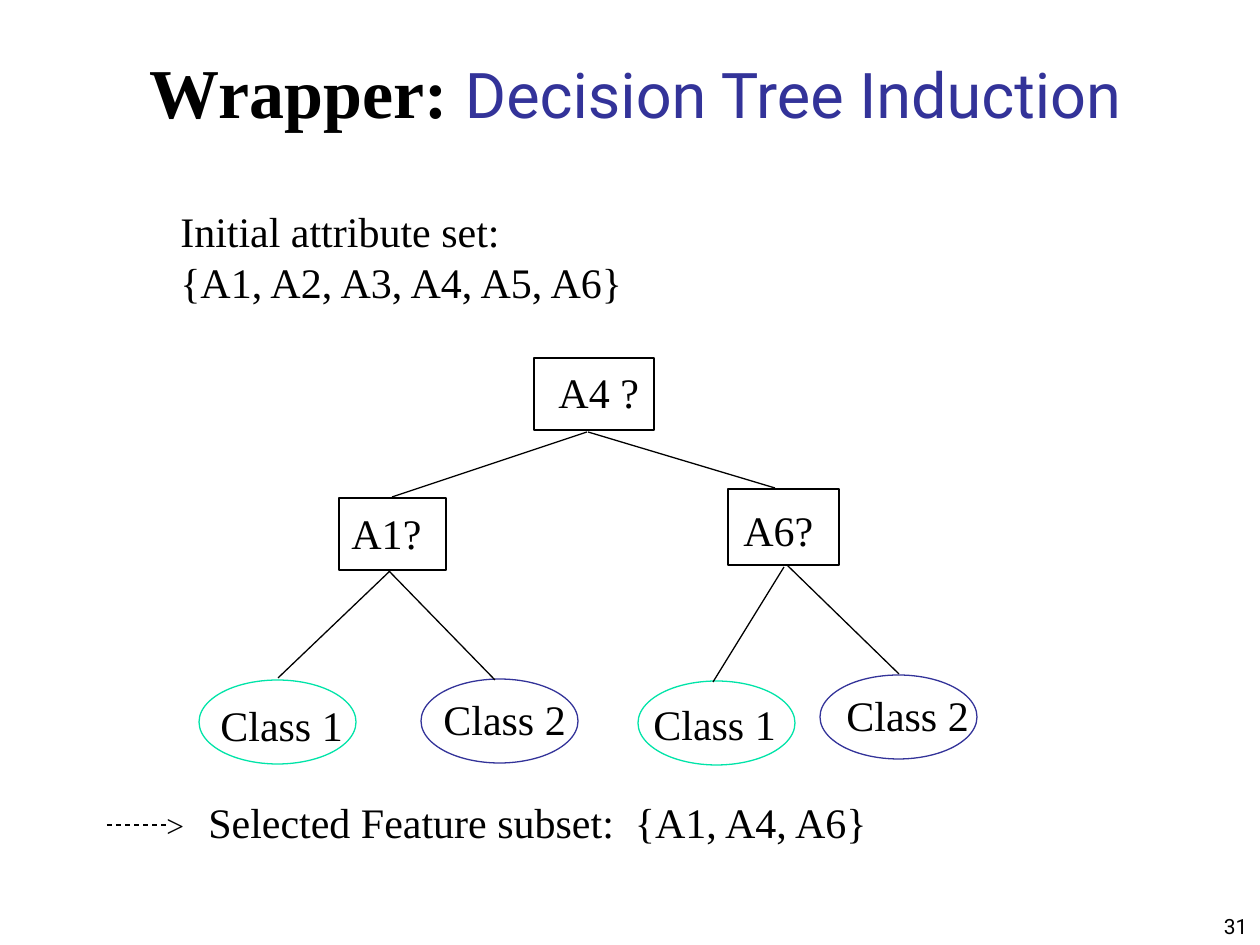
"""Build the slide on wrapper feature selection by decision tree induction."""
from lxml import etree
from pptx import Presentation
from pptx.dml.color import RGBColor
from pptx.enum.dml import MSO_LINE
from pptx.enum.shapes import MSO_CONNECTOR, MSO_SHAPE
from pptx.enum.text import MSO_ANCHOR, PP_ALIGN
from pptx.oxml.ns import qn
from pptx.util import Emu, Pt

PX = 914400 / 126
WIDTH, HEIGHT = 1260, 945
SERIF, SANS = "Times New Roman", "Roboto"
LEFT, CENTER, RIGHT = PP_ALIGN.LEFT, PP_ALIGN.CENTER, PP_ALIGN.RIGHT
TOP, BOTTOM = MSO_ANCHOR.TOP, MSO_ANCHOR.BOTTOM
RECTANGLE, OVAL = MSO_SHAPE.RECTANGLE, MSO_SHAPE.OVAL
STRAIGHT, DASH = MSO_CONNECTOR.STRAIGHT, MSO_LINE.DASH
COLORS = {"black": "000000", "indigo": "333399", "mint": "00E4A8"}
LINE_SPACING = 1.01

TITLE = [("Wrapper: ", 40, SERIF, "black", True),
         ("Decision Tree Induction", 36, SANS, "indigo", False)]
PAGE_NUMBER = [("31", 12, SANS, "black", False)]
TEXTS = [
    (["Initial attribute set:", "{A1, A2, A3, A4, A5, A6}"], 24, (168, 199, 479, 113)),
    (["A4 ?"], 24, (546, 360, 122, 71)),
    (["A1?"], 24, (339, 501, 106, 63)),
    (["A6?"], 24, (731, 498, 106, 63)),
    (["Class 1"], 24, (208, 693, 160, 63)),
    (["Class 2"], 24, (431, 687, 160, 63)),
    (["Class 1"], 24, (641, 692, 160, 63)),
    (["Class 2"], 24, (834, 683, 160, 63)),
    ([">"], 18, (154, 800, 50, 50)),
    (["Selected Feature subset:  {A1, A4, A6}"], 24, (196, 790, 700, 64)),
]
NODES = [(534, 358, 120, 72), (339, 498, 107, 72), (728, 489, 111, 76)]
LEAF_SIZE = (157, 84)
LEAVES = [(199, 680, "mint"), (421, 679, "indigo"),
          (638, 681, "mint"), (820, 675, "indigo")]
BRANCHES = [
    (587, 432, 392, 497), (588, 432, 775, 488),
    (390, 571, 278, 678), (389, 571, 495, 680),
    (784, 567, 713, 682), (787, 565, 899, 674),
]
DASHED_ARROW_SHAFT = (107, 825, 168, 825)


def px(*values):
    return [Emu(round(value * PX)) for value in values]


def color(name):
    return RGBColor.from_string(COLORS[name])


def add_text(slide, box, paragraphs, align=LEFT, anchor=TOP):
    frame = slide.shapes.add_textbox(*px(*box)).text_frame
    frame.word_wrap = True
    frame.vertical_anchor = anchor
    for index, runs in enumerate(paragraphs):
        paragraph = frame.add_paragraph() if index else frame.paragraphs[0]
        paragraph.alignment = align
        paragraph.line_spacing = LINE_SPACING
        for text, size, font, ink, bold in runs:
            run = paragraph.add_run()
            run.text = text
            run.font.size = Pt(size)
            run.font.name = font
            run.font.bold = bold
            run.font.color.rgb = color(ink)


def add_outline(slide, kind, box, ink):
    shape = slide.shapes.add_shape(kind, *px(*box))
    shape.shadow.inherit = False
    shape.fill.background()
    shape.line.color.rgb = color(ink)
    shape.line.width = Pt(0.75)


def add_line(slide, ends, dash=None):
    line = slide.shapes.add_connector(STRAIGHT, *px(*ends))
    line.line.color.rgb = color("black")
    line.line.width = Pt(0.75)
    if dash:
        line.line.dash_style = dash
    etree.SubElement(line._element.spPr, qn("a:effectLst"))


def main():
    presentation = Presentation()
    presentation.slide_width, presentation.slide_height = px(WIDTH, HEIGHT)
    slide = presentation.slides.add_slide(presentation.slide_layouts[6])

    add_text(slide, (998, 907, 262, 38), [PAGE_NUMBER], RIGHT, BOTTOM)
    add_text(slide, (105, 42, 1061, 98), [TITLE], CENTER)
    for box in NODES:
        add_outline(slide, RECTANGLE, box, "black")
    for left, top, ink in LEAVES:
        add_outline(slide, OVAL, (left, top, *LEAF_SIZE), ink)
    for lines, size, box in TEXTS:
        add_text(slide, box, [[(line, size, SERIF, "black", False)] for line in lines])
    for ends in BRANCHES:
        add_line(slide, ends)
    add_line(slide, DASHED_ARROW_SHAFT, DASH)
    presentation.save("out.pptx")


if __name__ == "__main__":
    main()
